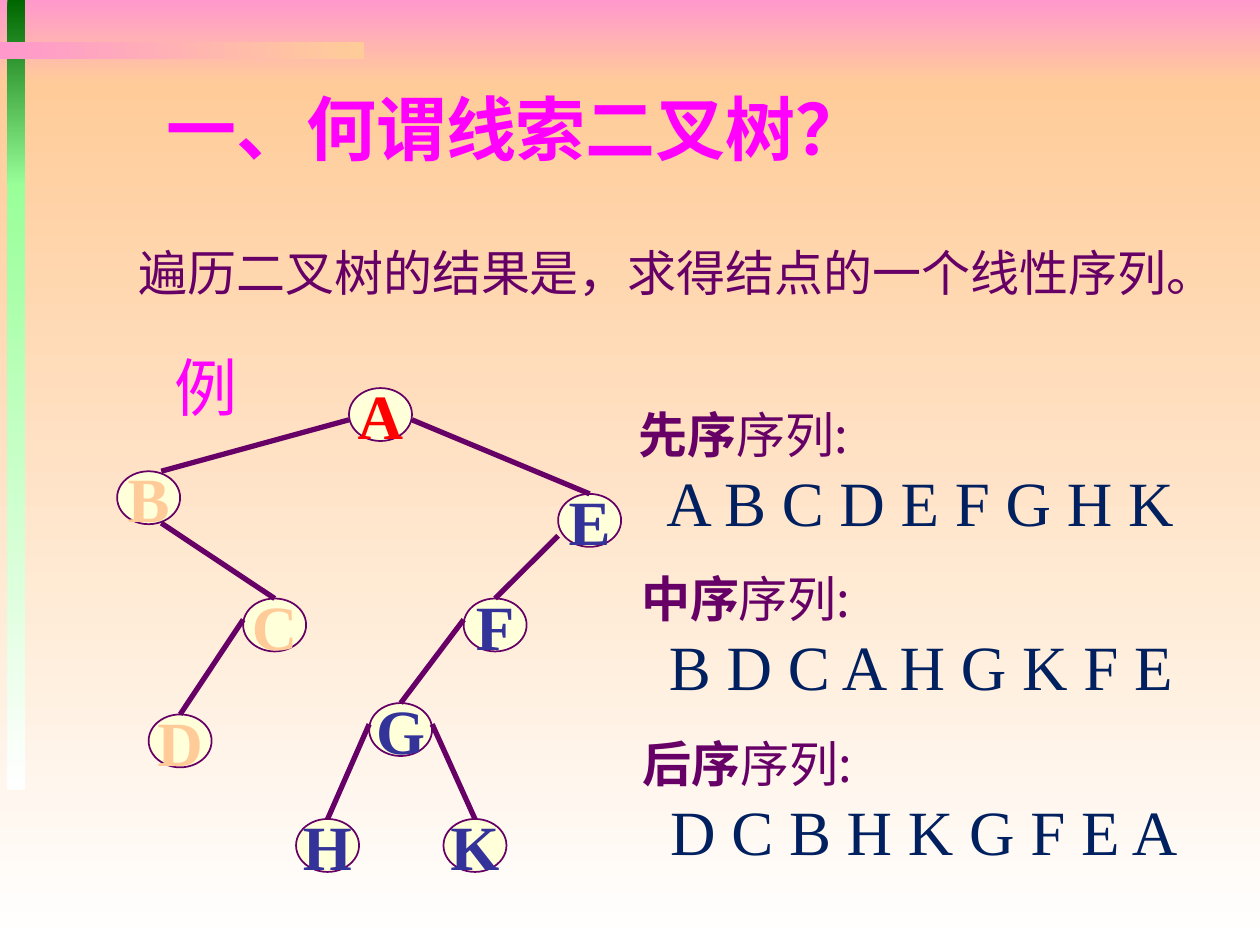
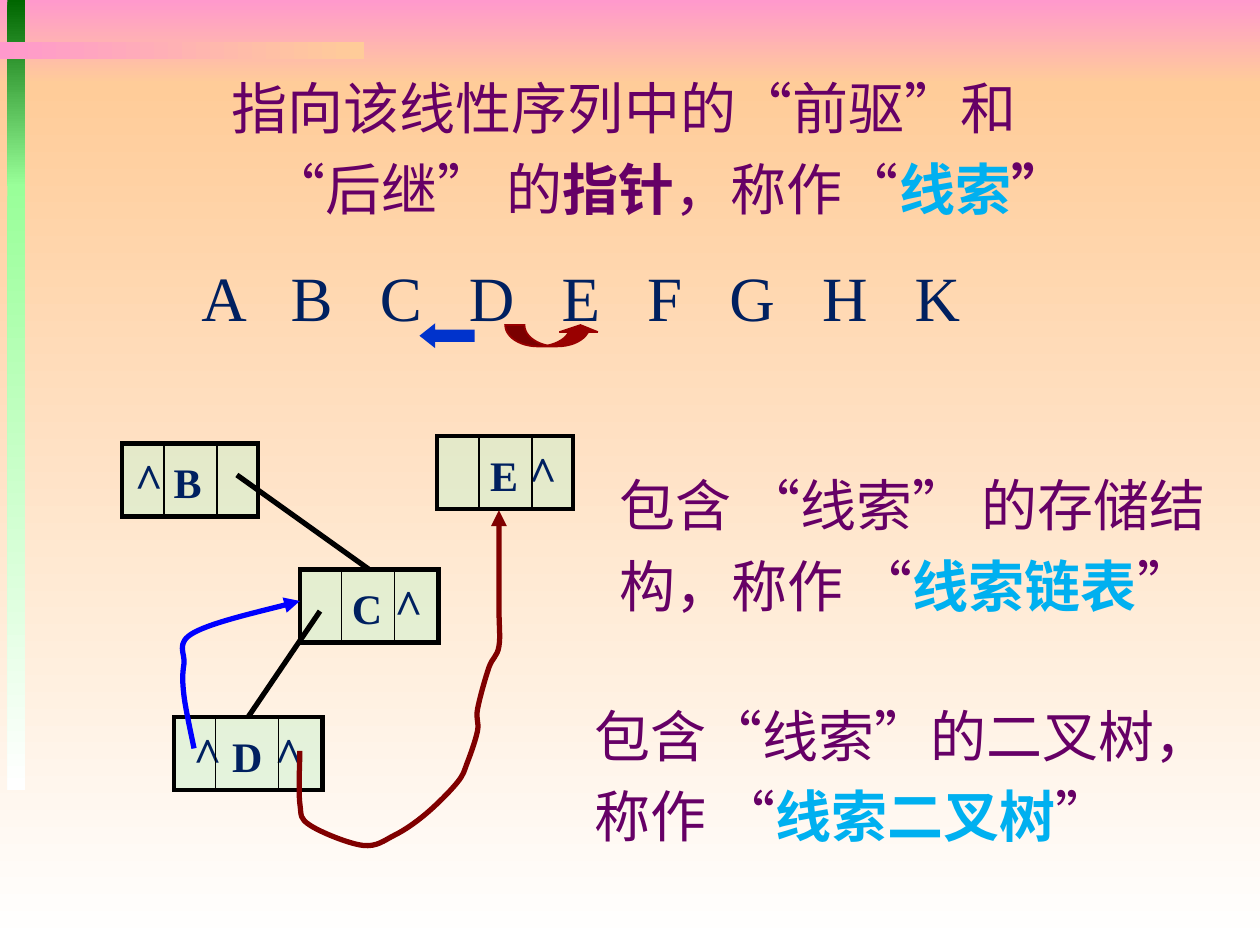
"""Build two slides on threaded binary trees: traversal sequences and threads."""
from collections import namedtuple

from lxml.etree import SubElement
from pptx import Presentation
from pptx.dml.color import RGBColor
from pptx.enum.lang import MSO_LANGUAGE_ID
from pptx.enum.shapes import MSO_CONNECTOR, MSO_SHAPE
from pptx.enum.text import MSO_ANCHOR, MSO_AUTO_SIZE, PP_ALIGN
from pptx.oxml.ns import qn
from pptx.util import Inches, Pt

PINK = RGBColor(0xFF, 0x99, 0xCC)
PEACH = RGBColor(0xFF, 0xCC, 0x99)
WHITE = RGBColor(0xFF, 0xFF, 0xFF)
GREEN = RGBColor(0x00, 0x66, 0x00)
LIME = RGBColor(0x99, 0xFF, 0x99)
MAGENTA = RGBColor(0xFF, 0x00, 0xFF)
PLUM = RGBColor(0x66, 0x00, 0x66)
CREAM = RGBColor(0xFF, 0xFF, 0xD9)
RED = RGBColor(0xFF, 0x00, 0x00)
INDIGO = RGBColor(0x33, 0x33, 0x99)
NAVY = RGBColor(0x00, 0x20, 0x60)
SKY = RGBColor(0x00, 0xB0, 0xF0)
BRICK = RGBColor(0x99, 0x00, 0x00)
COBALT = RGBColor(0x00, 0x33, 0xCC)
MINT = RGBColor(0xCA, 0xF2, 0xCE)
BLACK = RGBColor(0x00, 0x00, 0x00)
BLUE = RGBColor(0x00, 0x00, 0xFF)
MAROON = RGBColor(0x80, 0x00, 0x00)

SERIF = "Times New Roman"
SANS = "Noto Sans CJK SC"
WIDTH, HEIGHT = 10, 7.5

Style = namedtuple("Style", "size color bold font tracking", defaults=(False, SERIF, 0))
HEADING = Style(40, MAGENTA, True, SANS)
STATEMENT = Style(28, PLUM)
EXAMPLE = Style(36, MAGENTA, False, SANS)
ORDER_NAME = Style(28, PLUM, True, SANS)
ORDER_LABEL = Style(28, PLUM, False, SANS)
SEQUENCE = Style(36, NAVY)
SPREAD_SEQUENCE = Style(36, NAVY, tracking=9)
DEFINITION = Style(32, PLUM)
STRONG = Style(32, PLUM, True)
TERM = Style(32, SKY, True)
LETTER = Style(24, NAVY, True)
CARET = Style(28, NAVY, True)

BANDS = [
    ((0, 0, WIDTH, 0.67), PINK, PEACH, 270),
    ((0, 0.67, WIDTH, HEIGHT - 0.67), PEACH, WHITE, 270),
    ((0.06, 0, 0.14, 1.48), GREEN, LIME, 270),
    ((0.06, 1.46, 0.14, 4.81), LIME, WHITE, 270),
    ((0, 0.33, 2.89, 0.14), PINK, PEACH, 0),
]

NODE_W, NODE_H = 0.5, 0.42
TREE = {
    "A": (2.77, 3.08, RED),
    "B": (0.93, 3.74, PEACH),
    "C": (1.93, 4.75, PEACH),
    "D": (1.18, 5.67, PEACH),
    "E": (4.43, 3.92, INDIGO),
    "F": (3.68, 4.75, INDIGO),
    "G": (2.93, 5.58, INDIGO),
    "H": (2.35, 6.5, INDIGO),
    "K": (3.52, 6.5, INDIGO),
}
BRANCHES = [
    ("A", (0, 0.6), "B", 0.7),
    ("B", (0.7, 0.98), "C", 0.5),
    ("C", (0, 0.4), "D", 0.5),
    ("A", (1, 0.6), "E", 0.5),
    ("E", (0, 0.79), "F", 0.5),
    ("F", (0, 0.4), "G", 0.5),
    ("G", (0, 0.4), "H", 0.5),
    ("G", (1, 0.4), "K", 0.5),
]
TRAVERSALS = [
    (4.97, "先序", "A B C D E F G H K"),
    (4.99, "中序", "B D C A H G K F E"),
    (5, "后序", "D C B H K G F E A"),
]

THREAD_TITLE = [
    [("指向该线性序列中的“前驱”和", DEFINITION)],
    [("“后继” 的", DEFINITION), ("指针", STRONG), ("，称作“", DEFINITION),
     ("线索", TERM), ("”", STRONG)],
]
LIST_DEFINITION = [[("包含 “线索” 的存储结构，称作 “", DEFINITION),
                    ("线索链表", TERM), ("”", DEFINITION)]]
TREE_DEFINITION = [[("包含“线索”的二叉树，称作 “", DEFINITION),
                    ("线索二叉树", TERM), ("”", DEFINITION)]]

CELL_H = 0.58
RECORDS = {
    "D": ((1.38, 5.69, 1.18), 0.83, PP_ALIGN.CENTER, 0,
          [("^", CARET), (" D", LETTER), (" ^", CARET)]),
    "C": ((2.38, 4.52, 1.1), 0.75, PP_ALIGN.CENTER, 0.29,
          [("C", LETTER), (" ^", CARET)]),
    "B": ((0.97, 3.52, 1.08), 0.75, PP_ALIGN.LEFT, 0,
          [("^", CARET), (" B", LETTER)]),
    "E": ((3.47, 3.46, 1.08), 0.75, PP_ALIGN.CENTER, 0.29,
          [("E ", LETTER), ("^", CARET)]),
}
LINKS = [((1.88, 3.77), "C"), ((2.54, 4.85), "D")]
THREADS = [
    (BLUE, [(1.54, 5.94), (1.46, 5.52), (1.46, 5.27), (1.54, 5.02), (2.38, 4.77)]),
    (MAROON, [(2.38, 5.96), (2.38, 6.38), (2.46, 6.55), (2.88, 6.71), (3.13, 6.63),
              (3.38, 6.46), (3.63, 6.21), (3.71, 6.05), (3.79, 5.8), (3.79, 5.63),
              (3.88, 5.3), (3.96, 5.13), (3.96, 4.8), (3.96, 4.05)]),
]
POINTERS = [
    (MSO_SHAPE.CURVED_UP_ARROW, (4.01, 2.58, 0.75, 0.17), (0.9, 1.8, 0.33), BRICK),
    (MSO_SHAPE.LEFT_ARROW, (3.34, 2.58, 0.42, 0.17), (0.5, 0.63), COBALT),
]


def place(shape, box):
    shape.left, shape.top, shape.width, shape.height = map(Inches, box)


def write(shape, paragraphs, indents=(0,), spacing=1.0, align=PP_ALIGN.LEFT,
          wrap=True, anchor=MSO_ANCHOR.TOP):
    frame = shape.text_frame
    frame.word_wrap = wrap
    frame.auto_size = MSO_AUTO_SIZE.NONE
    frame.vertical_anchor = anchor
    for number, runs in enumerate(paragraphs):
        paragraph = frame.add_paragraph() if number else frame.paragraphs[0]
        paragraph.alignment = align
        paragraph.line_spacing = spacing
        paragraph.space_before = Pt(0)
        properties = paragraph._p.get_or_add_pPr()
        properties.set("marL", str(Inches(indents[number % len(indents)])))
        properties.set("indent", "0")
        SubElement(properties, qn("a:buNone"))
        for text, style in runs:
            run = paragraph.add_run()
            run.text = text
            run.font.size = Pt(style.size)
            run.font.bold = style.bold
            run.font.color.rgb = style.color
            run.font.name = style.font
            run.font.language_id = MSO_LANGUAGE_ID.SIMPLIFIED_CHINESE
            SubElement(run.font._element, qn("a:ea"), typeface=SANS)
            if style.tracking:
                run.font._element.set("spc", str(style.tracking * 100))


def add_text(slide, box, paragraphs, **layout):
    write(slide.shapes.add_textbox(*map(Inches, box)), paragraphs, **layout)


def add_figure(slide, kind, box, fill, outline, weight):
    figure = slide.shapes.add_shape(kind, *map(Inches, box))
    figure.shadow.inherit = False
    figure.fill.solid()
    figure.fill.fore_color.rgb = fill
    figure.line.color.rgb = outline
    figure.line.width = Pt(weight)
    SubElement(figure.line._get_or_add_ln(), qn("a:miter"), lim="800000")
    return figure


def add_line(slide, start, end, color, weight, target=None):
    line = slide.shapes.add_connector(MSO_CONNECTOR.STRAIGHT, *map(Inches, start + end))
    line.line.color.rgb = color
    line.line.width = Pt(weight)
    SubElement(line.element.spPr, qn("a:effectLst"))
    if target is not None:
        line.end_connect(target, 0)


def smooth(outline):
    vertices = list(outline.element.iter(qn("a:pt")))
    knots = [(int(v.get("x")), int(v.get("y"))) for v in vertices]
    padded = [knots[0], *knots, knots[-1]]
    segments = outline.element.iter(qn("a:lnTo"))
    for segment, before, start, end, after in zip(
            list(segments), padded, padded[1:], padded[2:], padded[3:]):
        leaving = [s + (e - b) / 6 for b, s, e in zip(before, start, end)]
        arriving = [e - (a - s) / 6 for s, e, a in zip(start, end, after)]
        curve = segment.getparent().makeelement(qn("a:cubicBezTo"))
        for x, y in (leaving, arriving, end):
            SubElement(curve, qn("a:pt"), x=str(round(x)), y=str(round(y)))
        segment.getparent().replace(segment, curve)


def add_thread(slide, color, knots):
    start, *rest = [(Inches(x), Inches(y)) for x, y in knots]
    builder = slide.shapes.build_freeform(*start)
    builder.add_line_segments(rest, close=False)
    thread = builder.convert_to_shape()
    smooth(thread)
    thread.shadow.inherit = False
    thread.fill.background()
    thread.line.color.rgb = color
    thread.line.width = Pt(3)
    SubElement(thread.line._get_or_add_ln(), qn("a:tailEnd"), type="triangle")


def move_bands_to_master(slide, master):
    for number, (box, first, last, angle) in enumerate(BANDS):
        band = slide.shapes.add_shape(MSO_SHAPE.RECTANGLE, *map(Inches, box))
        band.shadow.inherit = False
        band.line.fill.background()
        band.fill.gradient()
        band.fill.gradient_angle = angle
        for stop, color, position in zip(band.fill.gradient_stops, (first, last), (0, 1)):
            stop.color.rgb = color
            stop.position = position
        band.element.nvSpPr.cNvPr.set("id", str(20 + number))
        master.shapes.element.insert(2 + number, band.element)


def build_traversal(slide):
    title, body = slide.placeholders
    place(title, (0.22, 0.63, 7.58, 0.77))
    write(title, [[("一、何谓线索二叉树？", HEADING)]], indents=(1,))
    place(body, (0, 1.78, 9.58, 0.62))
    write(body, [[("遍历二叉树的结果是，求得结点的一个线性序列。", STATEMENT)]],
          indents=(1,), spacing=1.2)
    nodes = {}
    for name, (left, top, color) in TREE.items():
        nodes[name] = add_figure(slide, MSO_SHAPE.OVAL, (left, top, NODE_W, NODE_H),
                                 CREAM, PLUM, 1)
        write(nodes[name], [[(name, Style(36, color, True))]], align=PP_ALIGN.CENTER,
              wrap=False, anchor=MSO_ANCHOR.MIDDLE)
    for parent, (across, down), child, landing in BRANCHES:
        left, top, _ = TREE[parent]
        child_left, child_top, _ = TREE[child]
        add_line(slide, (left + across * NODE_W, top + down * NODE_H),
                 (child_left + landing * NODE_W, child_top), PLUM, 3,
                 nodes[child] if landing == 0.5 else None)
    add_text(slide, (1.29, 2.72, 0.71, 0.71), [[("例", EXAMPLE)]], wrap=False)
    for row, (left, order, sequence) in enumerate(TRAVERSALS):
        add_text(slide, (left, 3.16 + 1.305 * row, 4.57, 1.18),
                 [[(order, ORDER_NAME), ("序列:", ORDER_LABEL)], [(sequence, SEQUENCE)]],
                 indents=(0, 0.22), wrap=False)


def build_threads(slide):
    title, body = slide.placeholders
    place(title, (0.74, 0.43, 8.05, 1.34))
    write(title, THREAD_TITLE, indents=(1, 1.3), spacing=1.2)
    place(body, (4.63, 3.58, 5.17, 1.34))
    write(body, LIST_DEFINITION, indents=(0.19,), spacing=1.2)
    add_text(slide, (4.2, 5.41, 5.3, 1.34), TREE_DEFINITION, indents=(0.42,), spacing=1.2)
    add_text(slide, (1.5, 2, 6.42, 0.7), [[(TRAVERSALS[0][2], SPREAD_SEQUENCE)]])
    for kind, box, adjustments, color in POINTERS:
        pointer = add_figure(slide, kind, box, color, color, 1)
        for index, value in enumerate(adjustments):
            pointer.adjustments[index] = value

    records = {}
    for name, ((left, top, width), second, align, indent, runs) in RECORDS.items():
        record = add_figure(slide, MSO_SHAPE.RECTANGLE, (left, top, width, CELL_H),
                            MINT, BLACK, 2.5)
        tint = record.element.spPr.find(qn("a:solidFill"))[0]
        SubElement(tint, qn("a:alpha"), val="50000")
        write(record, [runs], indents=(indent,), align=align)
        for offset in (0.33, second):
            add_line(slide, (left + offset, top), (left + offset, top + CELL_H), BLACK, 1)
        records[name] = record
    for start, child in LINKS:
        left, top, width = RECORDS[child][0]
        add_line(slide, start, (left + width / 2, top), BLACK, 3, records[child])
    for color, knots in THREADS:
        add_thread(slide, color, knots)


def main():
    deck = Presentation()
    deck.slide_width, deck.slide_height = Inches(WIDTH), Inches(HEIGHT)
    layout = deck.slide_layouts[1]
    traversal, threads = (deck.slides.add_slide(layout) for _ in range(2))
    move_bands_to_master(traversal, deck.slide_master)
    build_traversal(traversal)
    build_threads(threads)
    deck.save("out.pptx")


if __name__ == "__main__":
    main()
